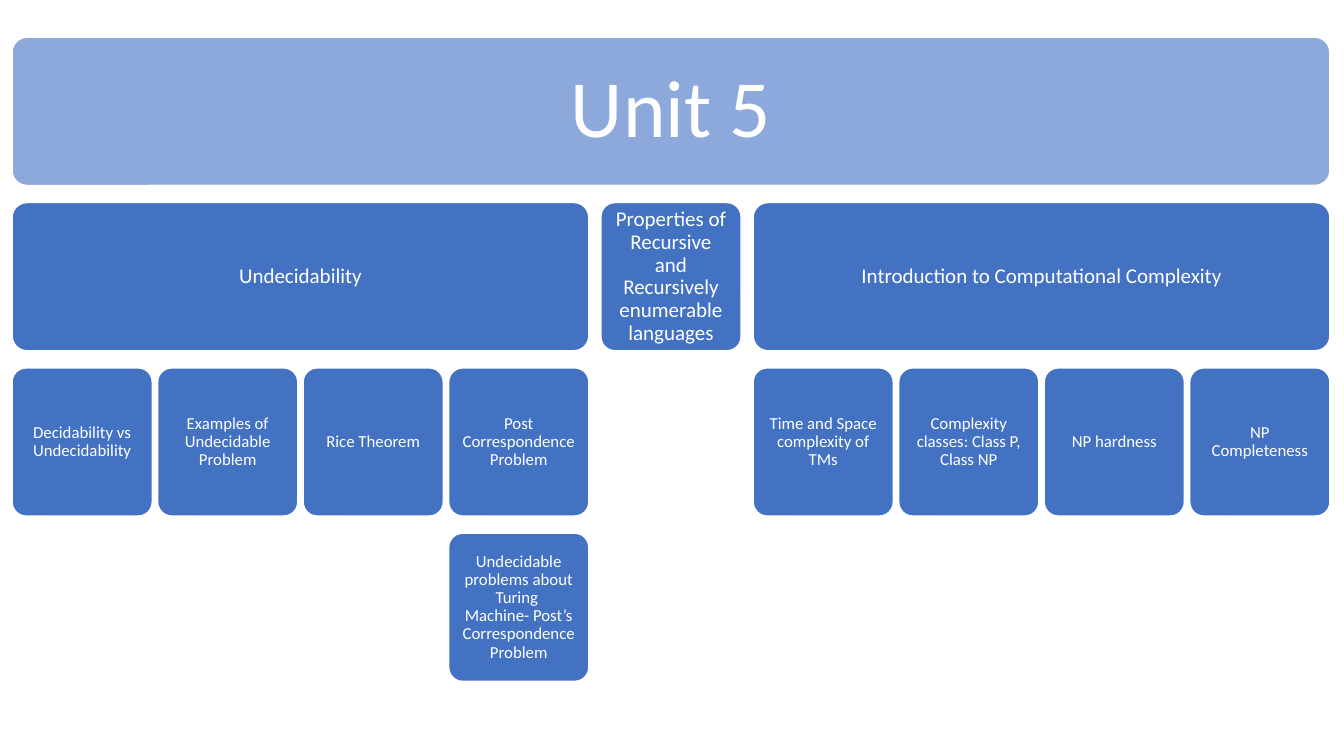
import pptx
import pptx.dml.color
import pptx.enum.shapes
import pptx.enum.text
import pptx.util

Inches = pptx.util.Inches
RGBColor = pptx.dml.color.RGBColor

# Content: each topic has subtopics, each subtopic may have a detail below it
UNIT = "Unit 5"
TOPICS = [
    ("Undecidability", [
        ("Decidability vs Undecidability", None),
        ("Examples of Undecidable Problem", None),
        ("Rice Theorem", None),
        ("Post Correspondence Problem",
         "Undecidable problems about Turing  Machine- Post’s Correspondence Problem"),
    ]),
    ("Properties of Recursive and Recursively enumerable languages", []),
    ("Introduction to Computational Complexity", [
        ("Time and Space complexity of TMs", None),
        ("Complexity classes: Class P, Class NP", None),
        ("NP hardness", None),
        ("NP Completeness", None),
    ]),
]

# Colours and formats
WHITE = RGBColor(0xFF, 0xFF, 0xFF)
LIGHT_BLUE = RGBColor(0x8D, 0xA9, 0xDB)
BLUE = RGBColor(0x43, 0x72, 0xC3)
UNIT_FORMAT = {"size": 58, "inset": 0.28}
TOPIC_FORMAT = {"size": 15, "inset": 0.1}
SUBTOPIC_FORMAT = {"size": 12, "inset": 0.09}

# Layout in inches
LEFT, TOP = 0.12, 0.37
BOX_HEIGHT, ROW_STEP = 1.47, 1.64
COLUMN_WIDTH, TOPIC_WIDTH, TOPIC_GAP = 1.39, 5.72, 0.12
COLUMN_STEP = (TOPIC_WIDTH - COLUMN_WIDTH) / 3


def write_text(shape, text, size, inset):
    frame = shape.text_frame
    frame.text = text
    margin = Inches(inset)
    frame_values = {
        "word_wrap": True,
        "auto_size": pptx.enum.text.MSO_AUTO_SIZE.NONE,
        "vertical_anchor": pptx.enum.text.MSO_ANCHOR.MIDDLE,
        "margin_left": margin, "margin_right": margin,
        "margin_top": margin, "margin_bottom": margin,
    }
    for name, value in frame_values.items():
        setattr(frame, name, value)
    paragraph = frame.paragraphs[0]
    paragraph.alignment = pptx.enum.text.PP_ALIGN.CENTER
    paragraph.line_spacing = 0.9
    font_values = {"name": "Calibri", "size": pptx.util.Pt(size)}
    for name, value in font_values.items():
        setattr(paragraph.font, name, value)
    paragraph.font.color.rgb = WHITE


def add_box(slide, left, row, width, fill):
    shape = slide.shapes.add_shape(
        pptx.enum.shapes.MSO_SHAPE.ROUNDED_RECTANGLE,
        Inches(left), Inches(TOP + row * ROW_STEP), Inches(width), Inches(BOX_HEIGHT))
    shape.adjustments[0] = 0.1
    shape.shadow.inherit = False
    shape.fill.solid()
    shape.fill.fore_color.rgb = fill
    shape.line.color.rgb = WHITE
    shape.line.width = pptx.util.Pt(1)
    return shape


def main():
    presentation = pptx.Presentation()
    presentation.slide_width = Inches(13.33)
    presentation.slide_height = Inches(7.5)
    slide = presentation.slides.add_slide(presentation.slide_layouts[5])

    # Topics with their subtopics and details
    left = LEFT
    for topic, subtopics in TOPICS:
        width = TOPIC_WIDTH if subtopics else COLUMN_WIDTH
        write_text(add_box(slide, left, 1, width, BLUE), topic, **TOPIC_FORMAT)
        for column, texts in enumerate(subtopics):
            for row, text in enumerate(texts, start=2):
                if text:
                    box = add_box(slide, left + column * COLUMN_STEP, row, COLUMN_WIDTH, BLUE)
                    write_text(box, text, **SUBTOPIC_FORMAT)
        left += width + TOPIC_GAP

    # Unit banner, with the title placeholder in front of it
    banner = add_box(slide, LEFT, 0, left - TOPIC_GAP - LEFT, LIGHT_BLUE)
    title = slide.shapes.title
    for name in ("left", "top", "width", "height"):
        setattr(title, name, getattr(banner, name))
    write_text(title, UNIT, **UNIT_FORMAT)
    banner.element.addnext(title.element)

    presentation.save("out.pptx")


if __name__ == "__main__":
    main()
